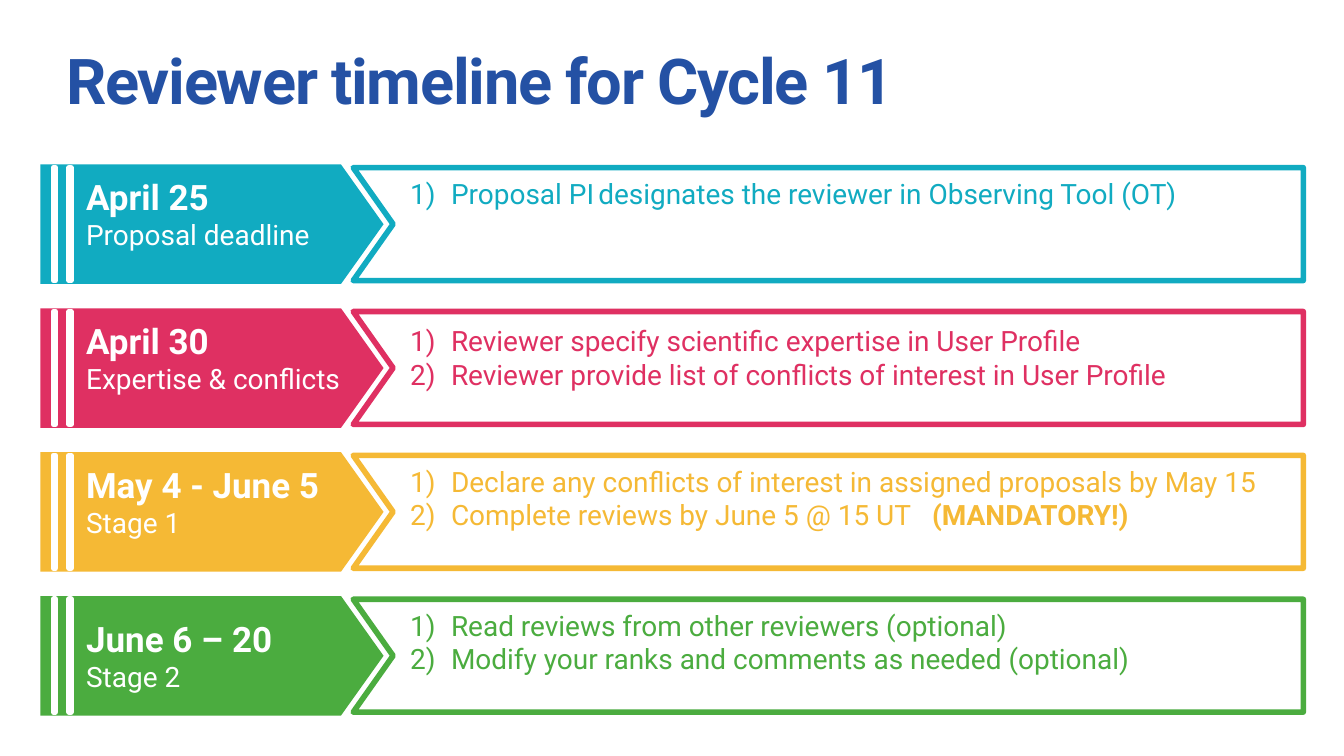
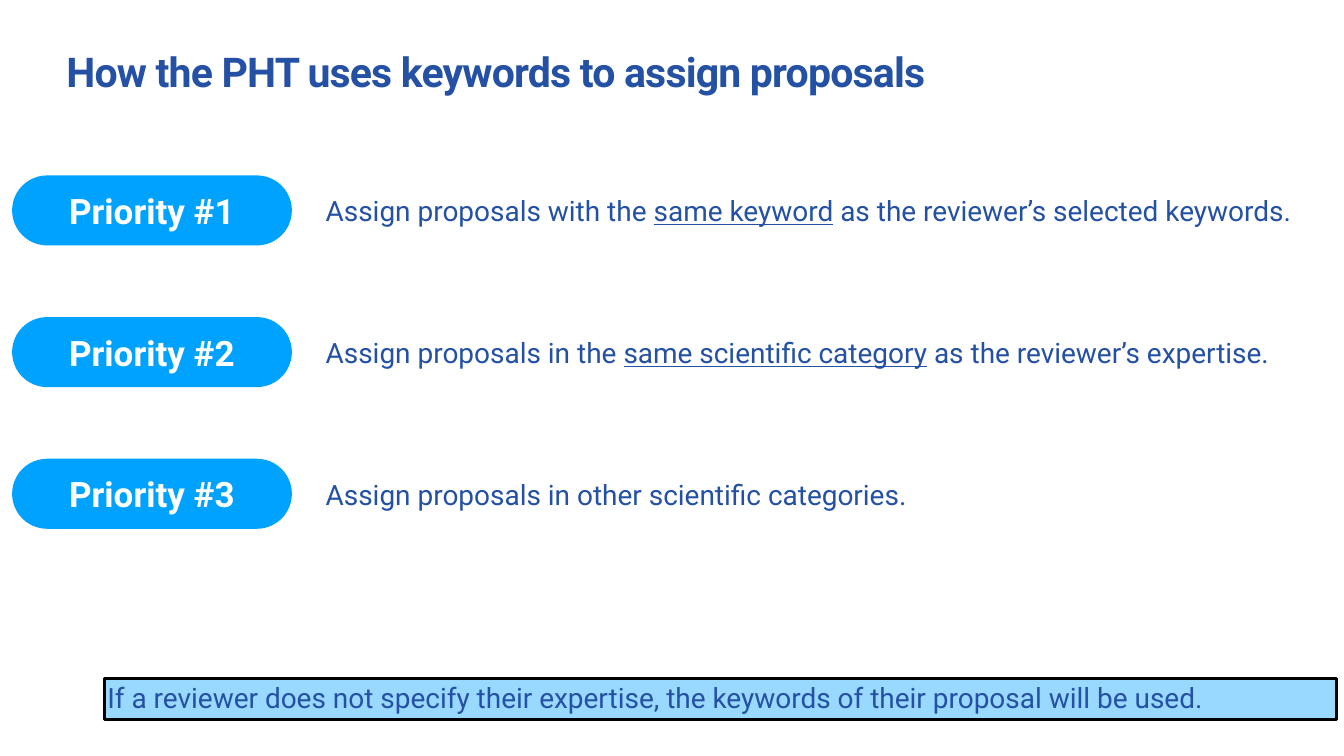
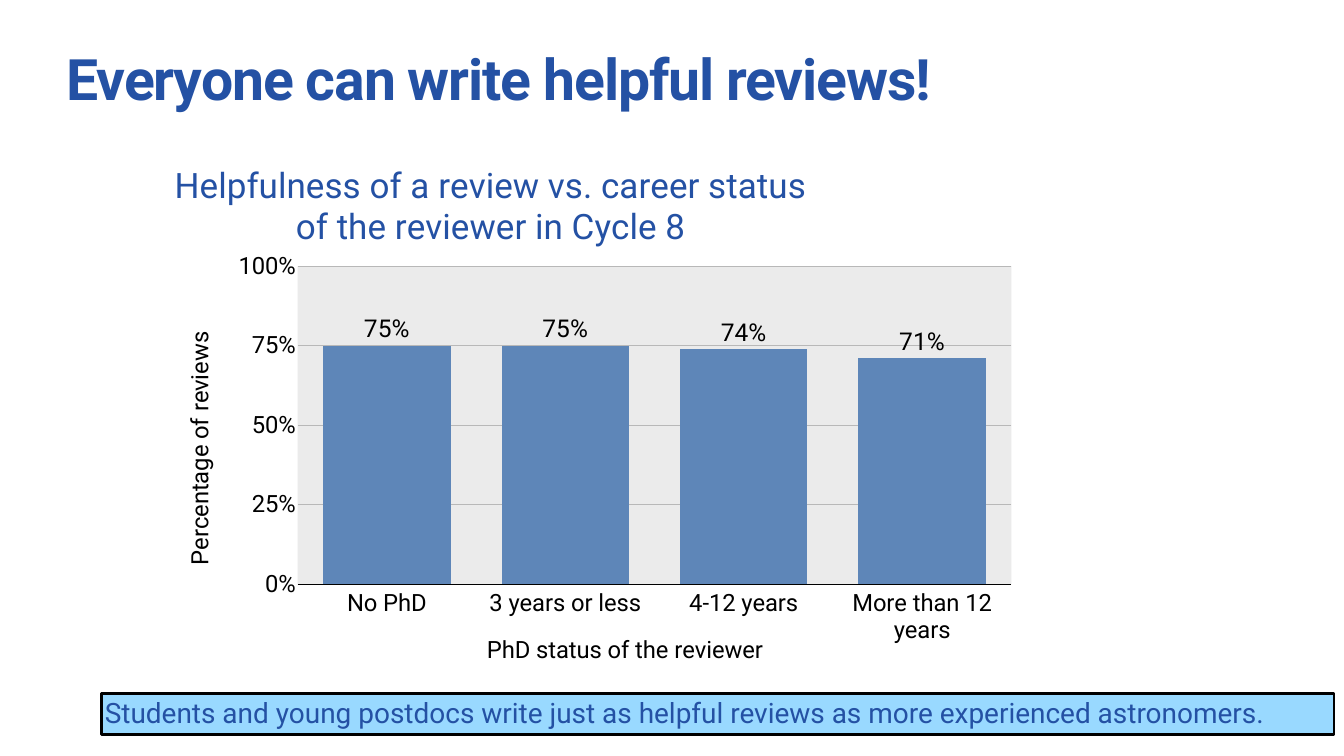
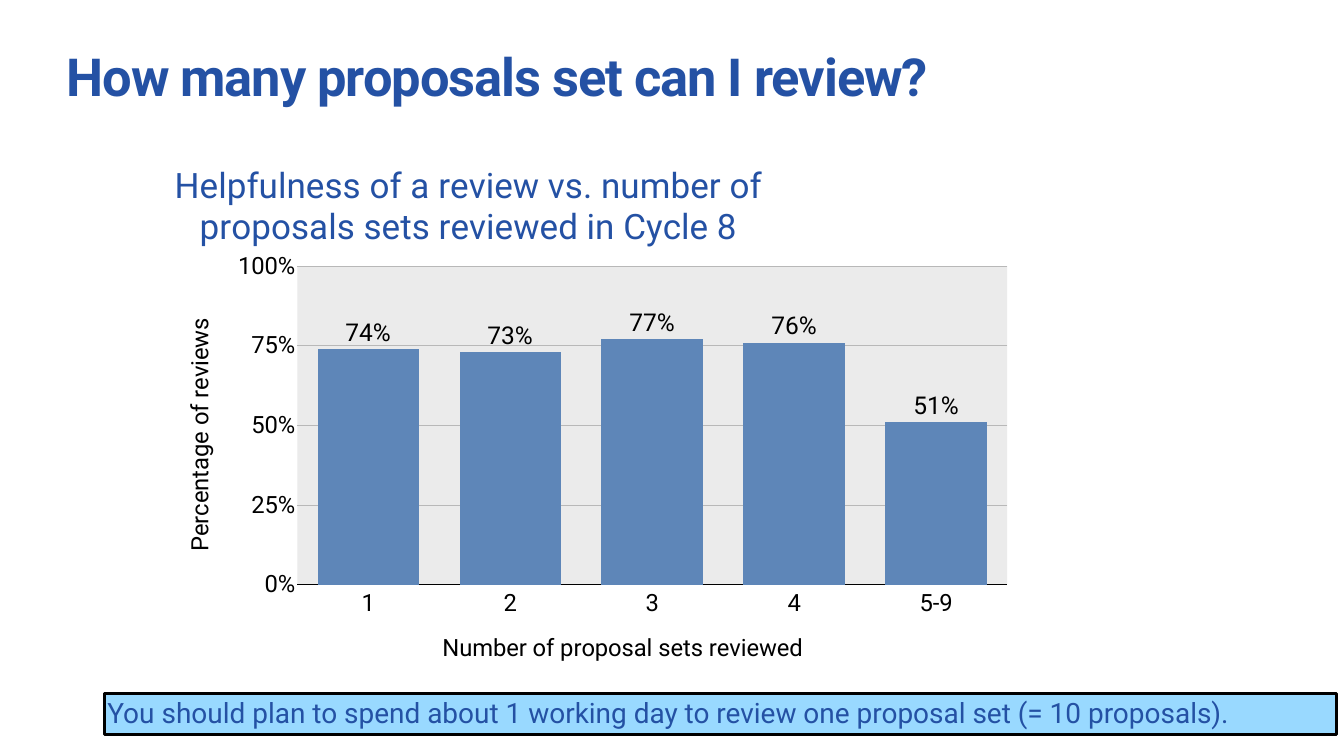
"""Build four slides on the Cycle 11 proposal review."""
import dataclasses
import typing

import lxml.etree
import pptx
import pptx.chart.data
import pptx.dml.color
import pptx.enum.chart
import pptx.enum.shapes
import pptx.enum.text
import pptx.oxml.ns
import pptx.util

Cm = pptx.util.Cm
Pt = pptx.util.Pt
qn = pptx.oxml.ns.qn
SHAPE = pptx.enum.shapes.MSO_SHAPE
ANCHOR = pptx.enum.text.MSO_ANCHOR

FONT = "Roboto"
NAVY, SKY, WHITE, BLACK = "2451A4", "00A2FF", "FFFFFF", "000000"
PLOT_GREY, GRID_GREY, BAR_BLUE = "EBEBEB", "B8B8B8", "5E86B8"
HEAD_SIZE, BODY_SIZE, AXIS_SIZE, LABEL_SIZE = 50, 40, 34, 35
INSET = Cm(0.15)
PERCENT = "#,##0%"


class Span(typing.NamedTuple):
    text: str
    style: dict[str, typing.Any] = {}


@dataclasses.dataclass
class Stage:
    color: str
    date: str
    name: str
    head_width: float
    tasks: list[list[Span]]
    list_width: float
    list_height: float
    head_offset: float = 0.38
    list_offset: float = 0.46


@dataclasses.dataclass
class Priority:
    spans: list[Span]
    width: float


@dataclasses.dataclass
class BarPage:
    title: str
    title_size: float
    chart_title: str
    axis_title: str
    shares: dict[str, float]
    chart_width: float
    plot: tuple[float, float, float, float]
    banner: str
    banner_left: float


STAGES = [
    Stage("11ABC1", "April 25", "Proposal deadline", 11.79,
          [[Span("Proposal PI"), Span(" ", {"size": 24}),
            Span("designates the reviewer in Observing Tool (OT)")]], 39.7, 2.01),
    Stage("DF3062", "April 30", "Expertise & conflicts", 13.28,
          [[Span("Reviewer specify scientific expertise in User Profile")],
           [Span("Reviewer provide list of conflicts of interest in User Profile")]],
          38.61, 3.63, list_offset=0.61),
    Stage("F5B935", "May 4 - June 5", "Stage 1", 12.65,
          [[Span("Declare any conflicts of interest in assigned proposals by May 15")],
           [Span("Complete reviews by June 5 @ 15 UT"), Span(" ", {"spacing": 20}),
            Span("(MANDATORY!)", {"bold": True})]], 43.82, 3.71),
    Stage("4BAC3F", "June 6 – 20", "Stage 2", 9.75,
          [[Span("Read reviews from other reviewers (optional)")],
           [Span("Modify your ranks and comments as needed (optional)")]],
          36.7, 5.33, head_offset=0.94),
]

PRIORITIES = [
    Priority([Span("Assign proposals with the "), Span("same keyword", {"underline": True}),
              Span(" as the reviewer’s selected keywords.")], 49.58),
    Priority([Span("Assign proposals in the "),
              Span("same scientific category", {"underline": True}),
              Span(" as the reviewer’s expertise.")], 48.16),
    Priority([Span("Assign proposals in other scientific categories.")], 29.64),
]

BAR_PAGES = [
    BarPage("Everyone can write helpful reviews!", 81.6,
            "Helpfulness of a review vs. career status of the reviewer in Cycle 8",
            "PhD status of the reviewer",
            {"No PhD": 0.75, "3 years or less": 0.75, "4-12 years": 0.74,
             "More than 12 years": 0.71},
            43.18, (0.151, 0.214, 0.833, 0.616),
            "Students and young postdocs write just as helpful reviews as more "
            "experienced astronomers.", 5.13),
    BarPage("How many proposals set can I review?", 74.9,
            "Helpfulness of a review vs. number of proposals sets reviewed in Cycle 8",
            "Number of proposal sets reviewed",
            {"1": 0.74, "2": 0.73, "3": 0.77, "4": 0.76, "5-9": 0.51},
            42.49, (0.153, 0.214, 0.842, 0.617),
            "You should plan to spend about 1 working day to review one proposal set "
            "(= 10 proposals).", 5.26),
]


def rgb(color: str) -> pptx.dml.color.RGBColor:
    """Turn a hex string into a colour."""
    return pptx.dml.color.RGBColor.from_string(color)


def set_font(font, size: float, color: str, bold: bool = False) -> None:
    """Give a font the shared typeface and its own size, colour and weight."""
    font.name, font.size, font.bold = FONT, Pt(size), bold
    font.color.rgb = rgb(color)


def add_span(para, text: str, *, size: float = BODY_SIZE, color: str = NAVY,
             bold: bool = False, underline: bool = False, spacing: float = 0) -> None:
    """Add formatted text to a paragraph."""
    span = para.add_run()
    span.text = text
    set_font(span.font, size, color, bold)
    if underline:
        span.font.underline = True
    if spacing:
        span._r.get_or_add_rPr().set("spc", str(round(spacing * 100)))


def set_frame(shape, anchor=ANCHOR.TOP, wrap: bool = True, grow: bool = False):
    """Set a text frame's insets, anchor and wrapping, and return it."""
    frame = shape.text_frame
    frame.margin_left = frame.margin_right = frame.margin_top = frame.margin_bottom = INSET
    frame.word_wrap = wrap
    frame.vertical_anchor = anchor
    if grow:
        frame.auto_size = pptx.enum.text.MSO_AUTO_SIZE.SHAPE_TO_FIT_TEXT
    return frame


def add_text(shapes, left: float, top: float, width: float, height: float,
             paras: list[list[Span]], *, color: str = NAVY, anchor=ANCHOR.MIDDLE,
             numbered: bool = False) -> None:
    """Add an unwrapped text box with one paragraph per list of spans."""
    box = shapes.add_textbox(Cm(left), Cm(top), Cm(width), Cm(height))
    frame = set_frame(box, anchor, wrap=False, grow=True)
    for index, spans in enumerate(paras):
        para = frame.add_paragraph() if index else frame.paragraphs[0]
        if numbered:
            number_para(para)
        for span in spans:
            add_span(para, span.text, **{"color": color, **span.style})


def number_para(para) -> None:
    """Number a paragraph with a hanging indent."""
    properties = para._p.get_or_add_pPr()
    indent = Cm(2.06)
    properties.set("marL", str(indent))
    properties.set("indent", str(-indent))
    lxml.etree.SubElement(properties, qn("a:buAutoNum"), type="arabicParenR")


def paint(shape, fill: str, line: str | None = None, width: float = 0) -> None:
    """Set a shape's fill and line, without shadow."""
    shape.shadow.inherit = False
    shape.fill.solid()
    shape.fill.fore_color.rgb = rgb(fill)
    if line:
        shape.line.color.rgb = rgb(line)
        shape.line.width = Pt(width)
    else:
        shape.line.fill.background()


def add_block(shapes, kind, left: float, top: float, width: float, height: float,
              fill: str, line: str | None = None, line_width: float = 0):
    """Add a painted preset shape."""
    block = shapes.add_shape(kind, Cm(left), Cm(top), Cm(width), Cm(height))
    paint(block, fill, line, line_width)
    return block


def add_page(deck, title: str, size: float):
    """Add a blank page with the shared title style."""
    page = deck.slides.add_slide(deck.slide_layouts[6])
    box = page.shapes.add_textbox(Cm(3.2), Cm(2.69), Cm(47.09), Cm(4.14))
    para = set_frame(box).paragraphs[0]
    para.line_spacing = 0.8
    add_span(para, title, size=size, bold=True, spacing=-0.02 * size)
    return page


def add_banner(page, text: str, left: float, top: float) -> None:
    """Add the pale blue message band at the foot of a page."""
    banner = add_block(page.shapes, SHAPE.RECTANGLE, left, top, 62.1, 2.08, SKY, BLACK, 4)
    color = banner.fill._xPr.find(qn("a:solidFill"))[0]
    lxml.etree.SubElement(color, qn("a:alpha"), val="40000")
    para = set_frame(banner, ANCHOR.MIDDLE, grow=True).paragraphs[0]
    para.alignment = pptx.enum.text.PP_ALIGN.LEFT
    para.line_spacing = 0.9
    add_span(para, text)


def add_stage(page, stage: Stage, top: float) -> None:
    """Draw one timeline row: arrow, notched panel, stripes and texts."""
    shapes = page.shapes.add_group_shape().shapes
    arrow = add_block(shapes, SHAPE.RIGHT_ARROW, 2.03, top, 17.3, 6.02, stage.color)
    arrow.adjustments[0], arrow.adjustments[1] = 1, 0.356

    left, right, notch, height = 17.8, 65.68, 19.81, 5.69
    upper = top + 0.16
    lower = upper + height
    corners = [(right, upper), (right, lower), (left, lower), (notch, upper + height / 2)]
    builder = shapes.build_freeform(Cm(left), Cm(upper))
    builder.add_line_segments([(Cm(x), Cm(y)) for x, y in corners], close=True)
    paint(builder.convert_to_shape(), WHITE, stage.color, 8)

    for stripe_left in (2.69, 3.48):
        add_block(shapes, SHAPE.RECTANGLE, stripe_left, upper, 0.1, height, WHITE, WHITE, 8)
    head = [[Span(stage.date, {"size": HEAD_SIZE, "bold": True})], [Span(stage.name)]]
    add_text(shapes, 4.19, top + stage.head_offset, stage.head_width, 4.14, head, color=WHITE)
    add_text(shapes, 20.52, top + stage.list_offset, stage.list_width, stage.list_height,
             stage.tasks, color=stage.color, anchor=ANCHOR.TOP, numbered=True)


def add_priority(page, number: int, priority: Priority, top: float) -> None:
    """Draw a numbered pill and its rule."""
    add_text(page.shapes, 16.26, top + 0.81, priority.width, 1.93, [priority.spans])
    pill = add_block(page.shapes, SHAPE.ROUNDED_RECTANGLE, 0.61, top, 14.1, 3.53, SKY)
    pill.adjustments[0] = 0.5
    para = set_frame(pill, ANCHOR.MIDDLE).paragraphs[0]
    para.alignment = pptx.enum.text.PP_ALIGN.CENTER
    add_span(para, f"Priority #{number}", size=HEAD_SIZE, color=WHITE, bold=True)


def set_layout(parent, index: int, **values: typing.Any) -> None:
    """Give a chart part a manual layout."""
    for stale in parent.findall(qn("c:layout")):
        parent.remove(stale)
    layout = lxml.etree.Element(qn("c:layout"))
    manual = lxml.etree.SubElement(layout, qn("c:manualLayout"))
    for name, value in values.items():
        lxml.etree.SubElement(manual, qn(f"c:{name}"), val=str(value))
    parent.insert(index, layout)


def style_axis(axis, title: str):
    """Set what both axes share and return the title's frame."""
    axis.major_tick_mark = axis.minor_tick_mark = pptx.enum.chart.XL_TICK_MARK.NONE
    set_font(axis.tick_labels.font, AXIS_SIZE, BLACK)
    axis.has_title = True
    frame = axis.axis_title.text_frame
    add_span(frame.paragraphs[0], title, size=AXIS_SIZE, color=BLACK)
    return frame


def add_bars(page, content: BarPage) -> None:
    """Add the column chart of helpful reviews."""
    data = pptx.chart.data.CategoryChartData(number_format=PERCENT)
    data.categories = list(content.shares)
    data.add_series("Series 1", list(content.shares.values()))
    chart = page.shapes.add_chart(
        pptx.enum.chart.XL_CHART_TYPE.COLUMN_CLUSTERED,
        Cm(8.48), Cm(7.85), Cm(content.chart_width), Cm(26.01), data).chart
    set_font(chart.font, 10, NAVY)
    chart.has_legend = False

    chart.has_title = True
    add_span(chart.chart_title.text_frame.paragraphs[0], content.chart_title, size=HEAD_SIZE)
    title = chart.chart_title._element
    title.find(qn("c:overlay")).set("val", "1")
    set_layout(title, 1, xMode="edge", yMode="edge", x=0, y=0)

    across = chart.category_axis
    style_axis(across, content.axis_title)
    across.tick_label_position = pptx.enum.chart.XL_TICK_LABEL_POSITION.LOW
    across.format.line.color.rgb = rgb(BLACK)
    across.format.line.width = Pt(1)

    upright = chart.value_axis
    frame = style_axis(upright, "Percentage of reviews")
    frame._txBody.bodyPr.set("rot", "-5400000")
    frame._txBody.bodyPr.set("vert", "horz")
    upright.minimum_scale, upright.maximum_scale, upright.major_unit = 0, 1, 0.25
    upright.tick_labels.number_format = PERCENT
    upright.tick_labels.number_format_is_linked = False
    upright.format.line.fill.background()
    upright.has_major_gridlines = True
    upright.major_gridlines.format.line.color.rgb = rgb(GRID_GREY)
    upright.major_gridlines.format.line.width = Pt(1)

    bars = chart.plots[0]
    bars.gap_width, bars.overlap, bars.vary_by_categories = 40, -10, False
    fill = bars.series[0].format.fill
    fill.solid()
    fill.fore_color.rgb = rgb(BAR_BLUE)
    bars.has_data_labels = True
    labels = bars.data_labels
    labels.show_value = True
    labels.position = pptx.enum.chart.XL_LABEL_POSITION.OUTSIDE_END
    labels.number_format, labels.number_format_is_linked = PERCENT, False
    set_font(labels.font, LABEL_SIZE, BLACK)

    area = chart._chartSpace.find(f".//{qn('c:plotArea')}")
    x, y, width, height = content.plot
    set_layout(area, 0, layoutTarget="inner", xMode="edge", yMode="edge",
               x=x, y=y, w=width, h=height)
    properties = lxml.etree.SubElement(area, qn("c:spPr"))
    solid = lxml.etree.SubElement(properties, qn("a:solidFill"))
    lxml.etree.SubElement(solid, qn("a:srgbClr"), val=PLOT_GREY)


def main() -> None:
    """Build and save the deck."""
    deck = pptx.Presentation()
    deck.slide_width, deck.slide_height = Cm(67.73), Cm(38.1)

    page = add_page(deck, "Reviewer timeline for Cycle 11", 90.2)
    for index, stage in enumerate(STAGES):
        add_stage(page, stage, 8.29 + 7.25 * index)

    page = add_page(deck, "How the PHT uses keywords to assign proposals", 58.6)
    for index, priority in enumerate(PRIORITIES):
        add_priority(page, index + 1, priority, 8.84 + 7.14 * index)
    add_banner(page, "If a reviewer does not specify their expertise, "
               "the keywords of their proposal will be used.", 5.26, 34.19)

    for content in BAR_PAGES:
        page = add_page(deck, content.title, content.title_size)
        add_bars(page, content)
        add_banner(page, content.banner, content.banner_left, 34.95)

    deck.save("out.pptx")


if __name__ == "__main__":
    main()
